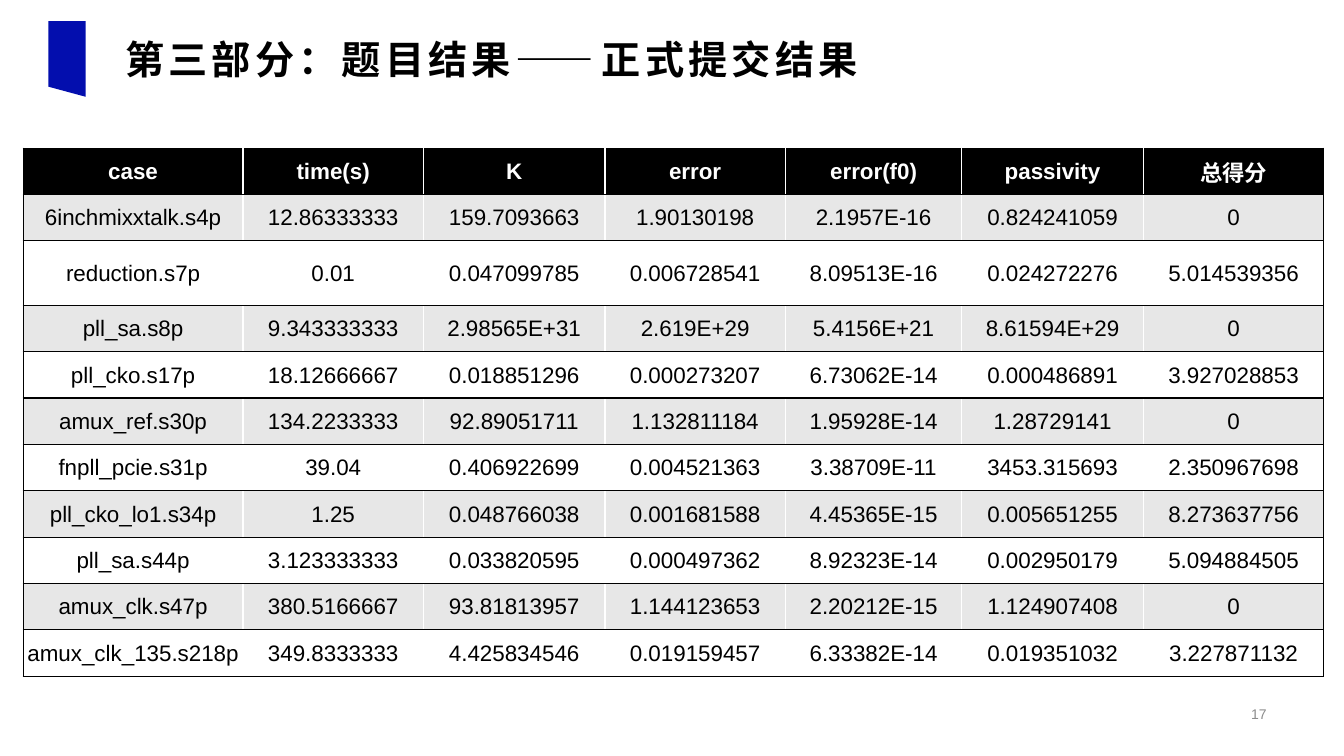
from lxml import etree
from pptx import Presentation
from pptx import util as u
from pptx.dml.color import RGBColor
from pptx.enum import text
from pptx.oxml import ns

BLUE = RGBColor(0x03, 0x0E, 0xAE)
BLACK = RGBColor(0, 0, 0)
WHITE = RGBColor(0xFF, 0xFF, 0xFF)
BAND = RGBColor(0xE7, 0xE7, 0xE7)
GREY = RGBColor(0x8C, 0x8C, 0x8C)
LATIN, CJK = "Arial", "Noto Sans CJK SC"

COLUMNS = [2.18, 1.79, 1.8, 1.79, 1.75, 1.8, 1.79]
ROW, TALL_ROW, TALL_INDEX = 0.46, 0.64, 2
RESULTS = [
    ["case", "time(s)", "K", "error", "error(f0)", "passivity", "总得分"],
    ["6inchmixxtalk.s4p", "12.86333333", "159.7093663", "1.90130198", "2.1957E-16", "0.824241059", "0"],
    ["reduction.s7p", "0.01", "0.047099785", "0.006728541", "8.09513E-16", "0.024272276", "5.014539356"],
    ["pll_sa.s8p", "9.343333333", "2.98565E+31", "2.619E+29", "5.4156E+21", "8.61594E+29", "0"],
    ["pll_cko.s17p", "18.12666667", "0.018851296", "0.000273207", "6.73062E-14", "0.000486891", "3.927028853"],
    ["amux_ref.s30p", "134.2233333", "92.89051711", "1.132811184", "1.95928E-14", "1.28729141", "0"],
    ["fnpll_pcie.s31p", "39.04", "0.406922699", "0.004521363", "3.38709E-11", "3453.315693", "2.350967698"],
    ["pll_cko_lo1.s34p", "1.25", "0.048766038", "0.001681588", "4.45365E-15", "0.005651255", "8.273637756"],
    ["pll_sa.s44p", "3.123333333", "0.033820595", "0.000497362", "8.92323E-14", "0.002950179", "5.094884505"],
    ["amux_clk.s47p", "380.5166667", "93.81813957", "1.144123653", "2.20212E-15", "1.124907408", "0"],
    ["amux_clk_135.s218p", "349.8333333", "4.425834546", "0.019159457", "6.33382E-14", "0.019351032", "3.227871132"],
]


def set_attrs(obj, values):
    """Set each attribute in values on obj."""
    for name, value in values.items():
        setattr(obj, name, value)


def write(tf, words, align, color, **font):
    """Write one formatted run into a text frame."""
    p = tf.paragraphs[0]
    p.alignment = align
    r = p.add_run()
    r.text = words
    set_attrs(r.font, font)
    r.font.color.rgb = color
    rpr = r.font._element
    etree.SubElement(rpr, ns.qn("a:ea"), typeface=CJK)
    return rpr


def add_flag(s, x, y, w, h):
    """Draw the blue flag whose lower edge slopes down to the right."""
    fb = s.shapes.build_freeform(u.Inches(x), u.Inches(y))
    corners = [(x + w, y), (x + w, y + h), (x, y + h - 0.1)]
    fb.add_line_segments([(u.Inches(a), u.Inches(b)) for a, b in corners])
    sp = fb.convert_to_shape()
    sp.shadow.inherit = False
    sp.fill.solid()
    sp.fill.fore_color.rgb = BLUE
    sp.line.fill.background()


def add_title(s, x, y, w, h):
    """Place the letter-spaced heading in the title placeholder."""
    sp = s.shapes.title
    set_attrs(sp, dict(left=u.Inches(x), top=u.Inches(y), width=u.Inches(w), height=u.Inches(h)))
    tf = sp.text_frame
    set_attrs(tf, dict(word_wrap=False, auto_size=text.MSO_AUTO_SIZE.NONE,
                       vertical_anchor=text.MSO_ANCHOR.MIDDLE))
    rpr = write(tf, "第三部分：题目结果——正式提交结果", text.PP_ALIGN.LEFT, BLACK,
                size=u.Pt(28), bold=True, name=CJK)
    rpr.set("spc", "300")


def add_border(cell, sides):
    """Put a one-point black line on the given sides of a cell."""
    tcpr = cell._tc.get_or_add_tcPr()
    for i, side in enumerate(sides):
        ln = etree.Element(ns.qn("a:ln" + side), w=str(u.Pt(1)))
        fill = etree.SubElement(ln, ns.qn("a:solidFill"))
        etree.SubElement(fill, ns.qn("a:srgbClr"), val=str(BLACK))
        tcpr.insert(i, ln)


def add_results(s, x, y):
    """Build the banded results table with its top left corner at x, y."""
    heights = [TALL_ROW if i == TALL_INDEX else ROW for i in range(len(RESULTS))]
    table = s.shapes.add_table(len(RESULTS), len(COLUMNS), u.Inches(x), u.Inches(y),
                               u.Inches(sum(COLUMNS)), u.Inches(sum(heights))).table
    for column, width in zip(table.columns, COLUMNS):
        column.width = u.Inches(width)
    last = len(COLUMNS) - 1
    for i, values in enumerate(RESULTS):
        table.rows[i].height = u.Inches(heights[i])
        header = i == 0
        for j, value in enumerate(values):
            cell = table.cell(i, j)
            edge = u.Inches(0.01)
            set_attrs(cell, dict(margin_left=edge, margin_right=edge, margin_top=edge,
                                 margin_bottom=0, vertical_anchor=text.MSO_ANCHOR.MIDDLE))
            cell.fill.solid()
            cell.fill.fore_color.rgb = BLACK if header else BAND if i % 2 else WHITE
            write(cell.text_frame, value, text.PP_ALIGN.CENTER, WHITE if header else BLACK,
                  size=u.Pt(16), bold=header, name=LATIN)
            add_border(cell, ["L"] * (j == 0) + ["R"] * (j == last) + ["T", "B"])


def add_page_number(s, x, y, w, h):
    """Place the grey page number at the right of its box."""
    tf = s.shapes.add_textbox(*map(u.Inches, (x, y, w, h))).text_frame
    set_attrs(tf, dict(word_wrap=True, vertical_anchor=text.MSO_ANCHOR.MIDDLE))
    write(tf, "17", text.PP_ALIGN.RIGHT, GREY, size=u.Pt(10), name=LATIN)


def main():
    """Build the results slide and save it."""
    prs = Presentation()
    set_attrs(prs, dict(slide_width=u.Inches(13.33), slide_height=u.Inches(7.5)))
    s = prs.slides.add_slide(prs.slide_layouts[5])
    add_flag(s, 0.48, 0.21, 0.37, 0.75)
    add_title(s, 1.14, 0.3, 7.7, 0.57)
    add_results(s, 0.23, 1.47)
    add_page_number(s, 9.71, 6.91, 2.95, 0.35)
    prs.save("out.pptx")


if __name__ == "__main__":
    main()
